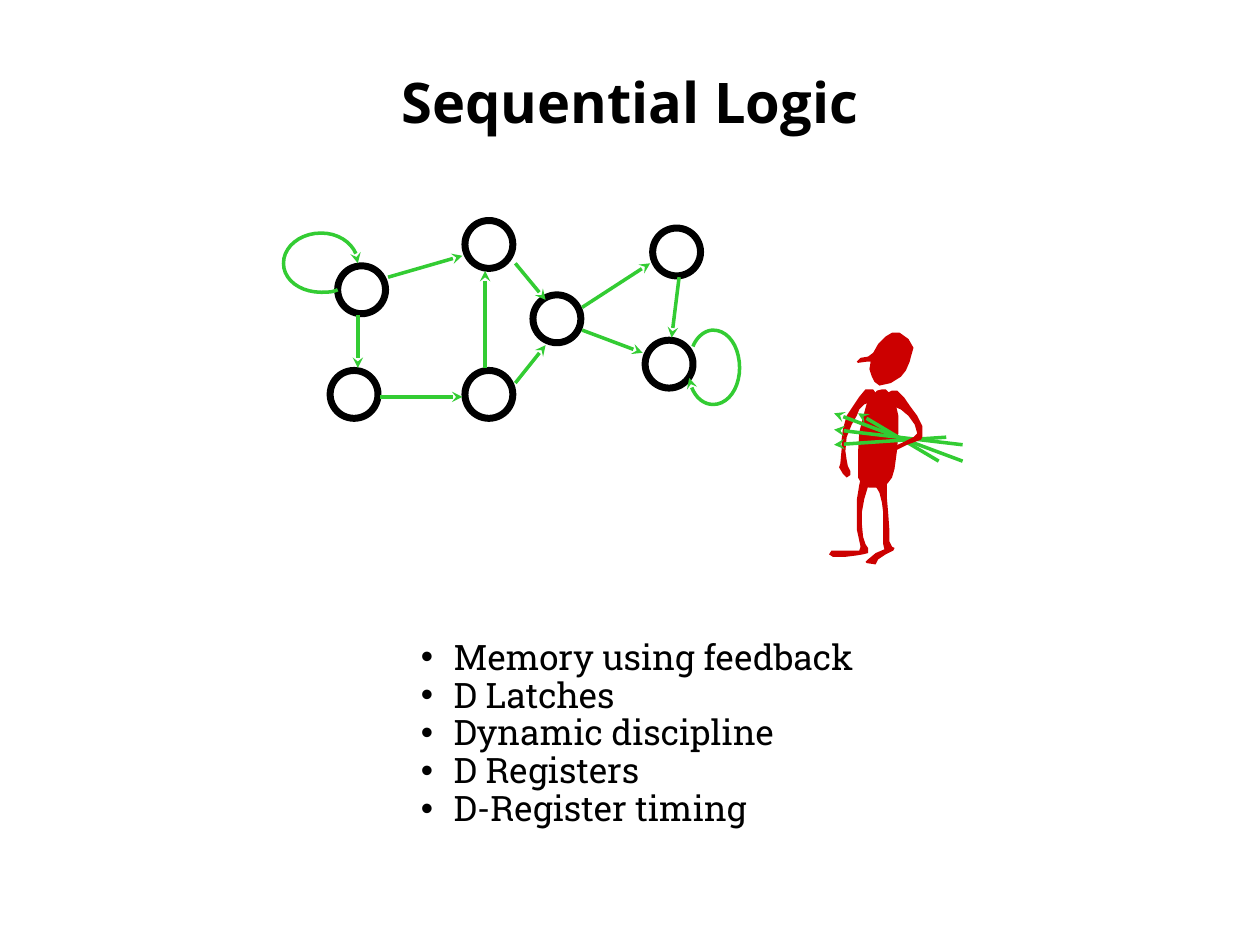
from lxml import etree
from pptx import Presentation
from pptx.dml.color import RGBColor
from pptx.enum.shapes import MSO_CONNECTOR, MSO_SHAPE
from pptx.enum.text import MSO_ANCHOR, MSO_AUTO_SIZE, PP_ALIGN
from pptx.oxml.ns import qn
from pptx.util import Pt

COLORS = {"ink": "000000", "paper": "FFFFFF", "arrow": "33CC33", "person": "CC0000"}
GRID = 0.72  # points per drawing unit
STATE_SIZE = 38

STATES = [(43, 36), (144, 0), (144, 119), (198, 59), (293, 6), (287, 95), (37, 119)]
TRANSITIONS = [
    (77, 140, 142, 140), (83, 45, 142, 28), (59, 75, 59, 117),
    (160, 117, 160, 40), (184, 129, 208, 99), (184, 34, 208, 63),
    (237, 87, 285, 105), (237, 69, 291, 34), (314, 45, 308, 93),
]
# Each loop: a start point, then cubic curves as two handles and an end
LOOPS = [
    [(43, 55), (39, 57), (34, 57), (30, 57), (13, 57), (0, 47), (0, 34),
     (0, 21), (13, 10), (30, 10), (46, 10), (59, 21), (59, 34)],
    [(325, 100), (328, 92), (335, 87), (341, 87), (353, 87), (362, 100), (362, 117),
     (362, 133), (353, 146), (341, 146), (332, 146), (324, 138), (322, 125)],
]

TORSO = [(34, 51), (38, 46), (42, 45), (45, 45), (50, 50), (53, 57), (55, 66), (55, 79),
         (54, 93), (52, 108), (50, 115), (47, 119), (44, 122), (39, 123), (32, 123),
         (27, 122), (23, 115), (23, 106), (23, 95), (24, 79), (27, 67), (30, 56)]
HANGING_ARM = [(24, 51), (29, 45), (35, 45), (38, 49), (37, 54), (33, 55), (28, 57),
               (24, 61), (22, 66), (18, 73), (14, 83), (13, 94), (14, 101), (15, 106),
               (17, 110), (17, 113), (14, 115), (11, 112), (8, 107), (9, 104), (10, 93),
               (10, 85), (11, 77), (14, 66), (20, 57)]
LEFT_LEG = [(29, 107), (34, 110), (34, 116), (31, 122), (28, 132), (26, 143), (26, 151),
            (27, 162), (29, 168), (31, 171), (31, 175), (27, 176), (21, 177), (13, 178),
            (3, 178), (0, 176), (2, 173), (11, 173), (16, 173), (24, 173), (25, 170),
            (24, 165), (22, 156), (22, 146), (22, 133), (24, 121), (26, 112), (28, 108)]
RIGHT_LEG = [(44, 110), (39, 108), (36, 112), (36, 117), (37, 122), (40, 127), (42, 135),
             (43, 143), (43, 151), (43, 168), (44, 172), (37, 175), (31, 180), (29, 182),
             (30, 183), (37, 184), (39, 180), (45, 176), (51, 173), (52, 171), (50, 170),
             (48, 166), (48, 158), (47, 144), (46, 132), (46, 123), (46, 114)]
HEAD = [(64, 23), (65, 19), (67, 12), (63, 5), (56, 0), (50, 0), (45, 3), (39, 9),
        (35, 16), (31, 19), (25, 20), (22, 23), (23, 24), (30, 23), (33, 23), (32, 29),
        (34, 35), (36, 39), (40, 42), (49, 40), (57, 35), (61, 30)]
HOLDING_ARM = [(46, 48), (50, 46), (54, 46), (60, 52), (64, 58), (70, 66), (74, 74),
               (74, 83), (73, 85), (62, 89), (52, 94), (44, 99), (43, 100), (38, 103),
               (34, 102), (32, 98), (31, 96), (32, 95), (36, 94), (40, 94), (50, 91),
               (59, 87), (67, 83), (70, 80), (68, 73), (63, 66), (57, 61), (50, 58),
               (45, 54), (46, 50)]
HELD_ARROWS = [(106, 102, 4, 64), (106, 89, 4, 77), (87, 102, 23, 64), (93, 83, 4, 89)]

TOPICS = ["Memory using feedback", "D Latches", "Dynamic discipline",
          "D Registers", "D-Register timing"]


def color(name):
    """Return the named colour."""
    return RGBColor.from_string(COLORS[name])


def place(box, x, y):
    """Turn drawing units inside a box into slide lengths."""
    return Pt(box[0] + x * GRID), Pt(box[1] + y * GRID)


def style_arrow(arrow):
    """Give a line its green stroke and stealth head."""
    arrow.line.color.rgb = color("arrow")
    arrow.line.width = Pt(2)
    etree.SubElement(arrow.line._get_or_add_ln(), qn("a:tailEnd"), type="stealth")


def add_arrow(slide, box, ends):
    """Draw a straight arrow."""
    arrow = slide.shapes.add_connector(
        MSO_CONNECTOR.STRAIGHT, *place(box, *ends[:2]), *place(box, *ends[2:]))
    style_arrow(arrow)
    etree.SubElement(arrow._element.spPr, qn("a:effectLst"))


def add_outline(slide, box, points, close):
    """Draw an outline through the points."""
    start, *rest = [place(box, *point) for point in points]
    builder = slide.shapes.build_freeform(*start, scale=1.0)
    builder.add_line_segments(rest, close=close)
    outline = builder.convert_to_shape()
    outline.shadow.inherit = False
    return outline


def curve_points(loop, steps=10):
    """Sample a chain of cubic curves."""
    points = [loop[0]]
    for i in range(0, len(loop) - 1, 3):
        for step in range(1, steps + 1):
            t = step / steps
            weights = ((1 - t) ** 3, 3 * t * (1 - t) ** 2, 3 * t * t * (1 - t), t ** 3)
            points.append(tuple(sum(w * p[axis] for w, p in zip(weights, loop[i:i + 4]))
                                for axis in (0, 1)))
    return points


def add_state_graph(slide, box):
    """Draw the states, transitions and feedback loops."""
    for corner in STATES:
        state = slide.shapes.add_shape(MSO_SHAPE.OVAL, *place(box, *corner),
                                       Pt(STATE_SIZE * GRID), Pt(STATE_SIZE * GRID))
        state.shadow.inherit = False
        state.fill.solid()
        state.fill.fore_color.rgb = color("paper")
        state.line.color.rgb = color("ink")
        state.line.width = Pt(4)
    for ends in TRANSITIONS:
        add_arrow(slide, box, ends)
    for loop in LOOPS:
        feedback = add_outline(slide, box, curve_points(loop), close=False)
        feedback.fill.background()
        style_arrow(feedback)


def add_limb(slide, box, points):
    """Draw one solid part of the person."""
    limb = add_outline(slide, box, points, close=True)
    limb.fill.solid()
    limb.fill.fore_color.rgb = color("person")
    limb.line.fill.background()


def add_person(slide, box):
    """Draw the person with the arrows under one arm."""
    for points in (TORSO, HANGING_ARM, LEFT_LEG, RIGHT_LEG, HEAD):
        add_limb(slide, box, points)
    for ends in HELD_ARROWS:
        add_arrow(slide, box, ends)
    add_limb(slide, box, HOLDING_ARM)


def set_box(holder, box):
    """Move a placeholder to its box and return its text frame."""
    holder.left, holder.top, holder.width, holder.height = map(Pt, box)
    frame = holder.text_frame
    frame.auto_size = MSO_AUTO_SIZE.NONE
    return frame


def add_text(paragraph, text, font, size, bold=False):
    """Add one formatted run."""
    run = paragraph.add_run()
    run.text = text
    run.font.name, run.font.size, run.font.bold = font, Pt(size), bold
    run.font.color.rgb = color("ink")


def fill_title(slide, box):
    """Write the slide title."""
    frame = set_box(slide.shapes.title, box)
    frame.vertical_anchor = MSO_ANCHOR.MIDDLE
    frame.paragraphs[0].alignment = PP_ALIGN.CENTER
    add_text(frame.paragraphs[0], "Sequential Logic", "Open Sans", 32, bold=True)


def fill_topics(slide, box):
    """Write the bulleted topics."""
    frame = set_box(slide.placeholders[1], box)
    frame.vertical_anchor = MSO_ANCHOR.TOP
    frame.word_wrap = False
    for i, topic in enumerate(TOPICS):
        paragraph = frame.add_paragraph() if i else frame.paragraphs[0]
        paragraph.alignment = PP_ALIGN.LEFT
        paragraph.space_before = paragraph.space_after = Pt(0)
        paragraph.line_spacing = 0.9
        properties = paragraph._p.get_or_add_pPr()
        properties.set("marL", str(Pt(18.72)))
        properties.set("indent", str(-Pt(18.72)))
        etree.SubElement(properties, qn("a:buChar"), char="•")
        add_text(paragraph, topic, "Roboto Slab", 20)


def main():
    """Build and save the slide."""
    deck = Presentation()
    deck.slide_width, deck.slide_height = Pt(720), Pt(540)
    slide = deck.slides.add_slide(deck.slide_layouts[1])
    fill_title(slide, (54, 0, 612, 116))
    fill_topics(slide, (233.28, 362.16, 267.84, 128.16))
    add_state_graph(slide, (162, 126))
    add_person(slide, (473.76, 190.08))
    deck.save("out.pptx")


main()
